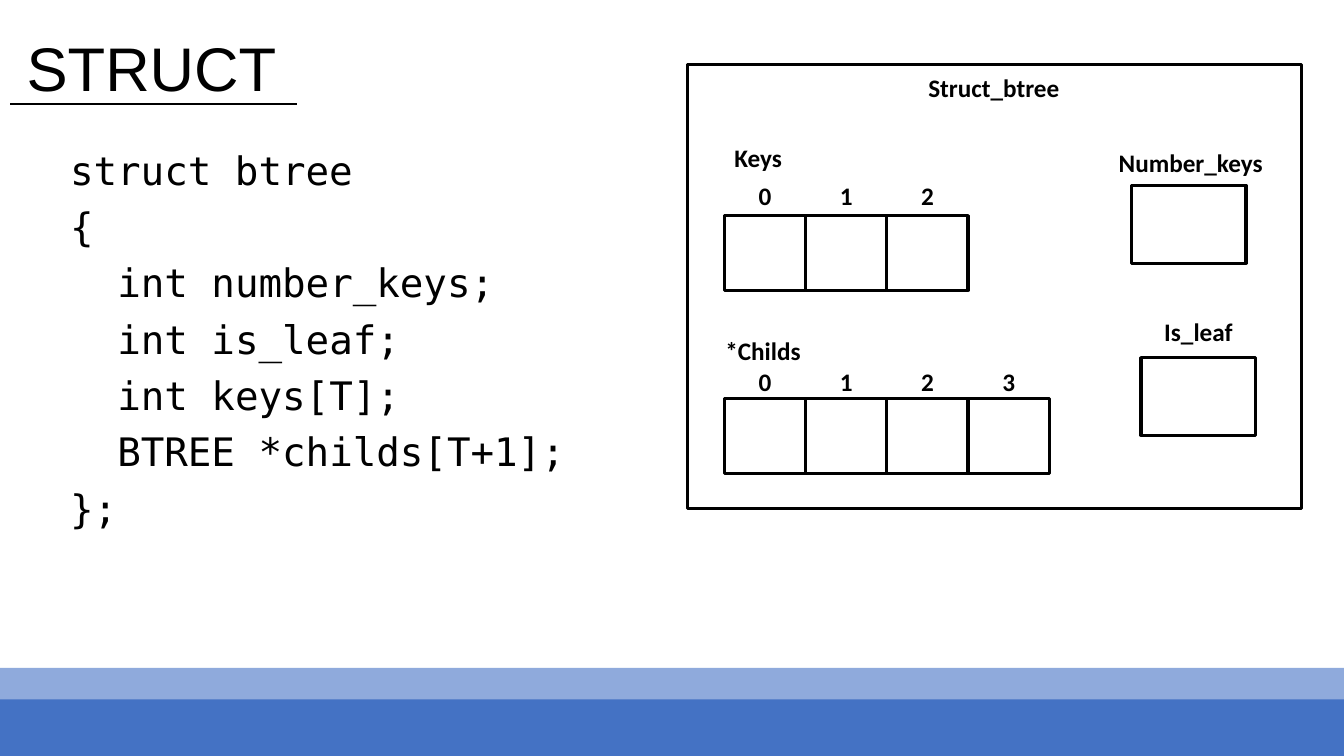
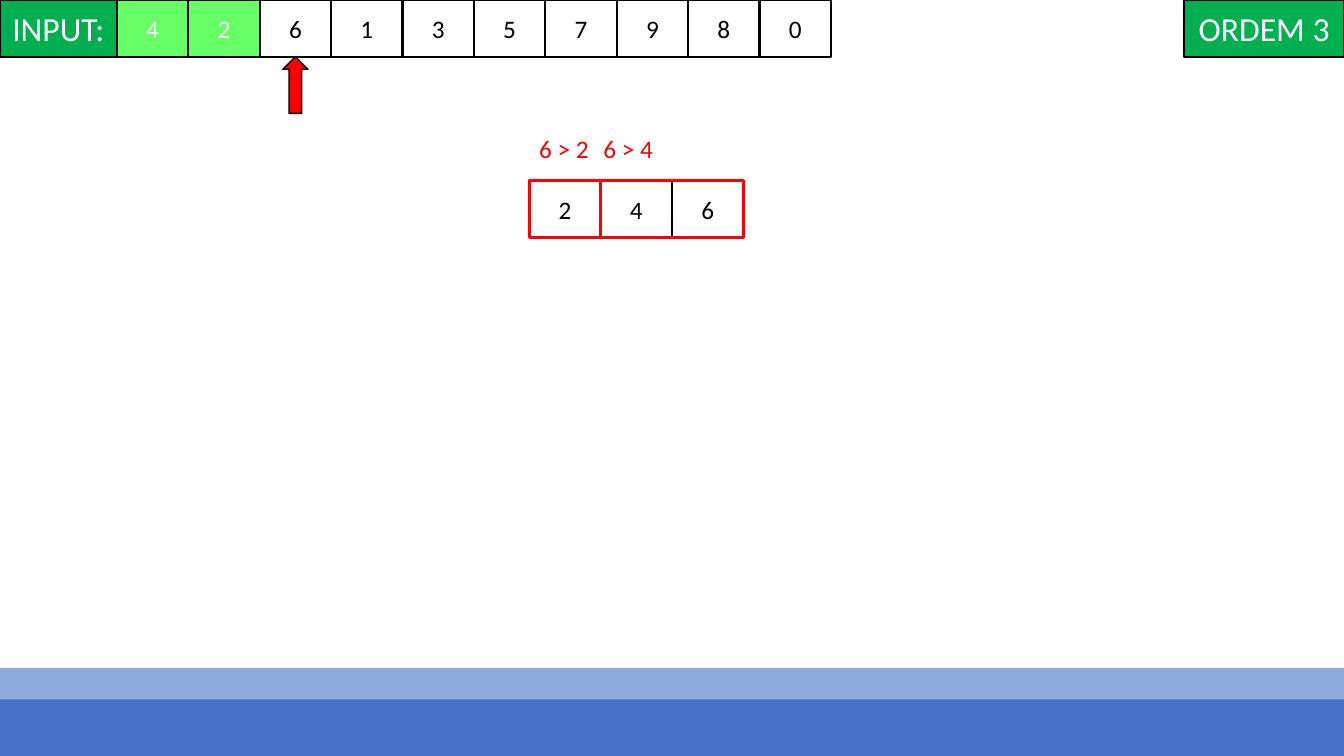
from dataclasses import dataclass
from typing import Optional

from lxml.etree import SubElement
from pptx import Presentation
from pptx.dml.color import RGBColor
from pptx.enum.shapes import MSO_CONNECTOR as Connector, MSO_SHAPE as Preset
from pptx.enum.text import MSO_ANCHOR as Anchor, MSO_AUTO_SIZE as AutoSize, PP_ALIGN as Align
from pptx.oxml.ns import qn
from pptx.shapes.autoshape import Shape
from pptx.slide import Slide
from pptx.util import Pt

SLIDE_WIDTH, SLIDE_HEIGHT = 960, 540
BLACK, WHITE, RED = "000000", "FFFFFF", "FF0000"
GREEN, LIGHT_GREEN = "00B050", "66FF66"
BLUE, LIGHT_BLUE = "4472C4", "8FAADC"
BAND_HEIGHT = 40.5
LABEL_HEIGHT = 29
CODE_INDENT = 33.7


@dataclass(frozen=True)
class Box:
    left: float
    top: float
    width: float
    height: float


@dataclass(frozen=True)
class Style:
    size: float = 18
    color: str = BLACK
    font: str = "Calibri"
    bold: bool = False
    align: Align = Align.LEFT
    line_spacing: Optional[float] = None
    space_before: float = 0


@dataclass(frozen=True)
class Line:
    text: str
    indent: float = 0


@dataclass(frozen=True)
class Label:
    text: str
    left: float
    top: float
    width: float


@dataclass(frozen=True)
class ArrayField:
    top: float
    index_top: float
    count: int


FIELD_LABEL = Style(bold=True)
INDEX_LABEL = Style(bold=True, align=Align.CENTER)
TITLE = Style(size=44, font="Arial", line_spacing=0.9)
CODE = Style(size=28, font="DejaVu Sans Mono", line_spacing=0.9, space_before=10)
CELL = Style(align=Align.CENTER)
DONE_CELL = Style(color=WHITE, align=Align.CENTER)
BADGE = Style(size=24, color=WHITE, align=Align.CENTER)
COMPARISON = Style(color=RED)

CODE_LINES = (
    Line("struct btree"),
    Line("{"),
    Line("int number_keys;", CODE_INDENT),
    Line("int is_leaf;", CODE_INDENT),
    Line("int keys[T];", CODE_INDENT),
    Line("BTREE *childs[T+1];", CODE_INDENT),
    Line("};"),
)
FIELD_LABELS = (
    Label("Struct_btree", 656, 48, 129),
    Label("Keys", 517.5, 98, 129),
    Label("*Childs", 511, 236, 129),
    Label("Number_keys", 792, 102, 129),
    Label("Is_leaf", 824.5, 222.5, 73.5),
)
ARRAY_FIELDS = (ArrayField(154, 125.5, 3), ArrayField(284.5, 258, 4))
SINGLE_FIELDS = (Box(808, 132.5, 82, 55.5), Box(815, 255.5, 82, 55.5))
COMPARISONS = (Label("6 > 2", 378, 91.5, 55.5), Label("6 > 4", 424, 91.5, 55.5))


def rgb(value: str) -> RGBColor:
    return RGBColor.from_string(value)


def place(box: Box) -> tuple:
    return Pt(box.left), Pt(box.top), Pt(box.width), Pt(box.height)


def write(shape: Shape, lines: tuple, style: Style) -> None:
    frame = shape.text_frame
    frame.word_wrap = True
    for position, line in enumerate(lines):
        paragraph = frame.add_paragraph() if position else frame.paragraphs[0]
        paragraph.alignment = style.align
        paragraph.space_before = Pt(style.space_before)
        if style.line_spacing:
            paragraph.line_spacing = style.line_spacing
        if line.indent:
            paragraph._p.get_or_add_pPr().set("marL", str(Pt(line.indent)))
        run = paragraph.add_run()
        run.text = line.text
        run.font.name = style.font
        run.font.size = Pt(style.size)
        run.font.bold = style.bold
        run.font.color.rgb = rgb(style.color)


def add_text(slide: Slide, box: Box, lines: tuple, style: Style) -> Shape:
    shape = slide.shapes.add_textbox(*place(box))
    write(shape, lines, style)
    return shape


def add_label(slide: Slide, label: Label, style: Style) -> None:
    box = Box(label.left, label.top, label.width, LABEL_HEIGHT)
    shape = add_text(slide, box, (Line(label.text),), style)
    shape.text_frame.auto_size = AutoSize.SHAPE_TO_FIT_TEXT


def add_block(slide: Slide, box: Box, fill: Optional[str] = WHITE, line: Optional[str] = BLACK,
              weight: float = 2.25, preset: Preset = Preset.RECTANGLE) -> Shape:
    shape = slide.shapes.add_shape(preset, *place(box))
    shape.shadow.inherit = False
    if fill:
        shape.fill.solid()
        shape.fill.fore_color.rgb = rgb(fill)
    else:
        shape.fill.background()
    if line:
        shape.line.color.rgb = rgb(line)
        shape.line.width = Pt(weight)
    else:
        shape.line.fill.background()
    return shape


def add_cell(slide: Slide, box: Box, text: str, style: Style, fill: str = WHITE) -> None:
    shape = add_block(slide, box, fill, weight=1.5)
    shape.text_frame.vertical_anchor = Anchor.MIDDLE
    write(shape, (Line(text),), style)


def add_bands(slide: Slide) -> None:
    for top, color in ((477, LIGHT_BLUE), (SLIDE_HEIGHT - BAND_HEIGHT, BLUE)):
        add_block(slide, Box(0, top, SLIDE_WIDTH, BAND_HEIGHT), color, None)


def add_title(slide: Slide, text: str) -> None:
    shape = add_text(slide, Box(12, -1, 828, 104.5), (Line(text),), TITLE)
    shape.text_frame.vertical_anchor = Anchor.MIDDLE
    underline = slide.shapes.add_connector(Connector.STRAIGHT, Pt(7.2), Pt(74), Pt(212), Pt(74))
    underline.line.color.rgb = rgb(BLACK)
    underline.line.width = Pt(1.5)
    SubElement(underline._element.spPr, qn("a:effectLst"))


def build_struct_slide(slide: Slide) -> None:
    add_text(slide, Box(43, 104.5, 828, 343), CODE_LINES, CODE)
    add_title(slide, "STRUCT")
    add_bands(slide)
    add_block(slide, Box(491, 46, 438.5, 317.5))
    array_left, cell_width, cell_height = 517.5, 58, 53.5
    for field in ARRAY_FIELDS:
        for index in range(field.count):
            left = array_left + index * cell_width
            add_block(slide, Box(left, field.top, cell_width, cell_height))
            add_label(slide, Label(str(index), left, field.index_top, cell_width), INDEX_LABEL)
    for box in SINGLE_FIELDS:
        add_block(slide, box)
    for label in FIELD_LABELS:
        add_label(slide, label, FIELD_LABEL)


def build_insertion_slide(slide: Slide) -> None:
    add_bands(slide)
    cell_width, cell_height, input_left, done_count = 51, 40.5, 83.5, 2
    add_cell(slide, Box(0, 0, input_left, cell_height), "INPUT:", BADGE, GREEN)
    for index, value in enumerate("4261357980"):
        done = index < done_count
        box = Box(input_left + index * cell_width, 0, cell_width, cell_height)
        add_cell(slide, box, value, DONE_CELL if done else CELL, LIGHT_GREEN if done else WHITE)
    add_cell(slide, Box(846, 0, 114, cell_height), "ORDEM 3", BADGE, GREEN)

    arrow_width = 18
    arrow_left = input_left + (done_count + 0.5) * cell_width - arrow_width / 2
    add_block(slide, Box(arrow_left, cell_height, arrow_width, 40.5), RED, weight=1,
              preset=Preset.UP_ARROW)

    node_left, node_top, node_keys = 378, 129, "246"
    for index, key in enumerate(node_keys):
        box = Box(node_left + index * cell_width, node_top, cell_width, cell_height)
        add_cell(slide, box, key, CELL)
    for count in (len(node_keys), 1):
        add_block(slide, Box(node_left, node_top, count * cell_width, cell_height), None, RED)
    for label in COMPARISONS:
        add_label(slide, label, COMPARISON)


def main() -> None:
    """Build the B-tree slides and save them."""
    presentation = Presentation()
    presentation.slide_width = Pt(SLIDE_WIDTH)
    presentation.slide_height = Pt(SLIDE_HEIGHT)
    for build in (build_struct_slide, build_insertion_slide):
        build(presentation.slides.add_slide(presentation.slide_layouts[6]))
    presentation.save("out.pptx")


if __name__ == "__main__":
    main()
